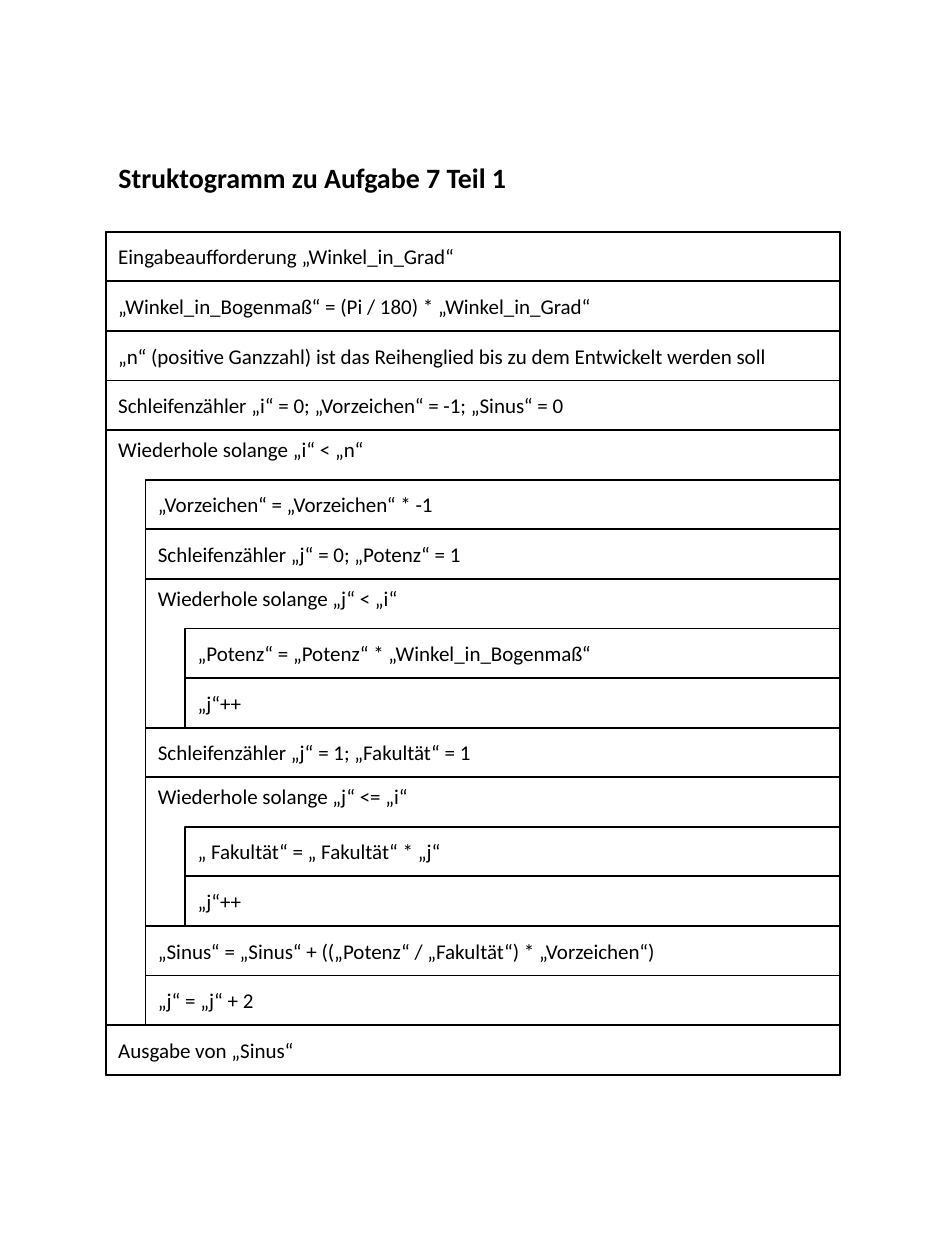
from pptx import Presentation
from pptx import util as u
from pptx.dml.color import RGBColor
from pptx.enum import shapes, text

COLORS = {"ink": "000000"}
FONT = "Calibri"
SLIDE_W, SLIDE_H = u.Inches(7.5), u.Inches(10)

# A string is a statement; a pair is a loop with its condition and body
PROGRAM = [
    "Eingabeaufforderung „Winkel_in_Grad“",
    "„Winkel_in_Bogenmaß“ = (Pi / 180) * „Winkel_in_Grad“",
    "„n“ (positive Ganzzahl) ist das Reihenglied bis zu dem Entwickelt werden soll",
    "Schleifenzähler „i“ = 0; „Vorzeichen“ = -1; „Sinus“ = 0",
    ("Wiederhole solange „i“ < „n“", [
        "„Vorzeichen“ = „Vorzeichen“ * -1",
        "Schleifenzähler „j“ = 0; „Potenz“ = 1",
        ("Wiederhole solange „j“ < „i“", [
            "„Potenz“ = „Potenz“ * „Winkel_in_Bogenmaß“",
            "„j“++",
        ]),
        "Schleifenzähler „j“ = 1; „Fakultät“ = 1",
        ("Wiederhole solange „j“ <= „i“", [
            "„ Fakultät“ = „ Fakultät“ * „j“",
            "„j“++",
        ]),
        "„Sinus“ = „Sinus“ + ((„Potenz“ / „Fakultät“) * „Vorzeichen“)",
        "„j“ = „j“ + 2",
    ]),
    "Ausgabe von „Sinus“",
]


def write(frame, wording, size, bold, frame_format):
    for name, value in frame_format.items():
        setattr(frame, name, value)
    line = frame.paragraphs[0]
    line.alignment = text.PP_ALIGN.LEFT
    run = line.add_run()
    run.text = wording
    for name, value in {"name": FONT, "size": u.Pt(size), "bold": bold}.items():
        setattr(run.font, name, value)
    run.font.color.rgb = RGBColor.from_string(COLORS["ink"])


def row_count(block):
    """Rows taken by a statement, or by a loop head with its body."""
    return 1 if isinstance(block, str) else 1 + sum(map(row_count, block[1]))


def draw_block(slide, wording, box, anchor):
    block = slide.shapes.add_shape(shapes.MSO_SHAPE.RECTANGLE, *map(round, box))
    block.shadow.inherit = False
    block.fill.background()
    block.line.color.rgb = RGBColor.from_string(COLORS["ink"])
    block.line.width = u.Pt(1)
    if wording:
        write(block.text_frame, wording, 12, False,
              {"vertical_anchor": anchor, "word_wrap": True})


def draw_sequence(slide, blocks, box, row, indent):
    """Stack blocks in the box; a loop body sits indented under its head."""
    left, top, width, _ = box
    for block in blocks:
        height = row * row_count(block)
        if isinstance(block, str):
            draw_block(slide, block, (left, top, width, height), text.MSO_ANCHOR.MIDDLE)
        else:
            condition, body = block
            draw_block(slide, condition, (left, top, width, height), text.MSO_ANCHOR.TOP)
            inner = (left + indent, top + row, width - indent, height - row)
            draw_sequence(slide, body, inner, row, indent)
        top += height


def draw_title(slide, wording, box):
    title = slide.shapes.title
    for name, value in zip(("left", "top", "width", "height"), map(round, box)):
        setattr(title, name, value)
    write(title.text_frame, wording, 16, True, {
        "vertical_anchor": text.MSO_ANCHOR.TOP,
        "word_wrap": False,
        "auto_size": text.MSO_AUTO_SIZE.NONE,
    })


def draw_structogram(slide, blocks, box):
    row = box[3] / sum(map(row_count, blocks))
    draw_block(slide, "", box, None)  # outer frame
    draw_sequence(slide, blocks, box, row, indent=row * 0.8)


deck = Presentation()
deck.slide_width, deck.slide_height = SLIDE_W, SLIDE_H
page = deck.slides.add_slide(deck.slide_layouts[5])

# Heading and diagram share the left margin
margin = SLIDE_W * 0.112
draw_title(page, "Struktogramm zu Aufgabe 7 Teil 1",
           (margin, SLIDE_H * 0.122, SLIDE_W * 0.443, SLIDE_H * 0.037))
draw_structogram(page, PROGRAM,
                 (margin, SLIDE_H * 0.184, SLIDE_W * 0.777, SLIDE_H * 0.669))
deck.save("out.pptx")
